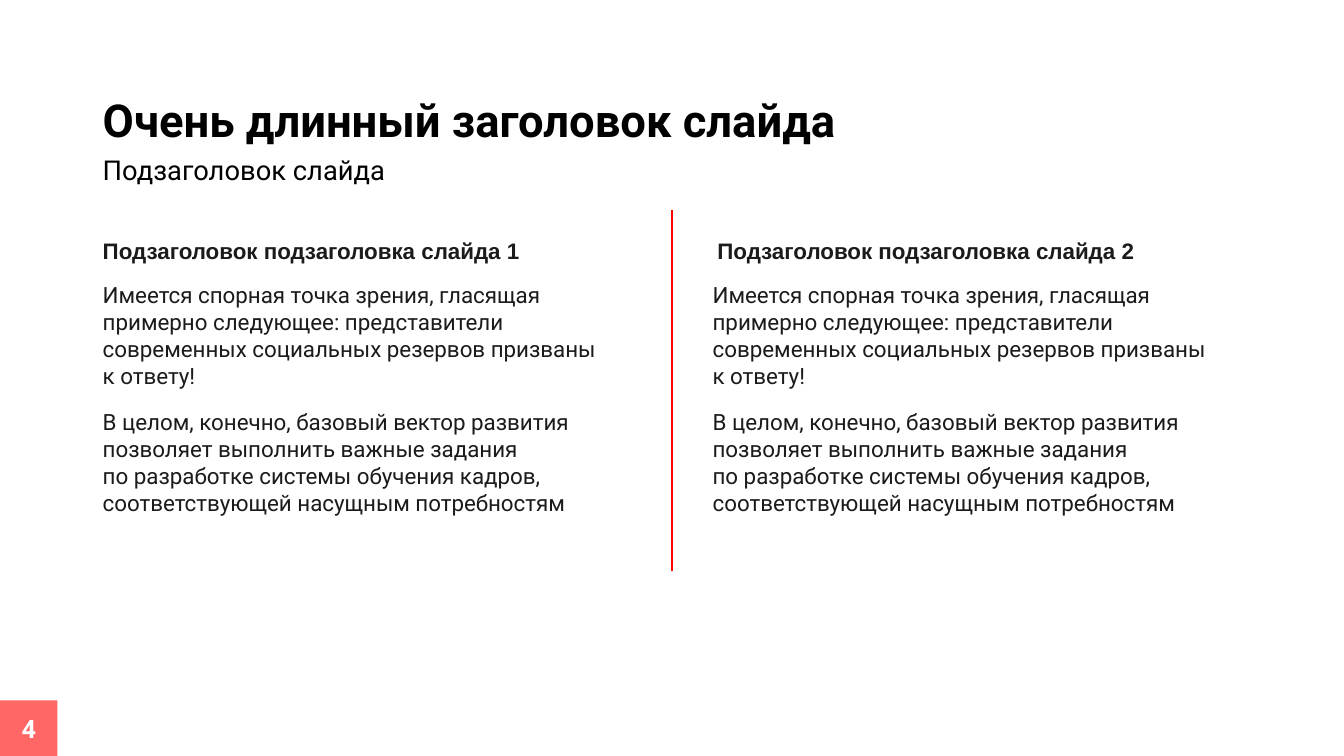
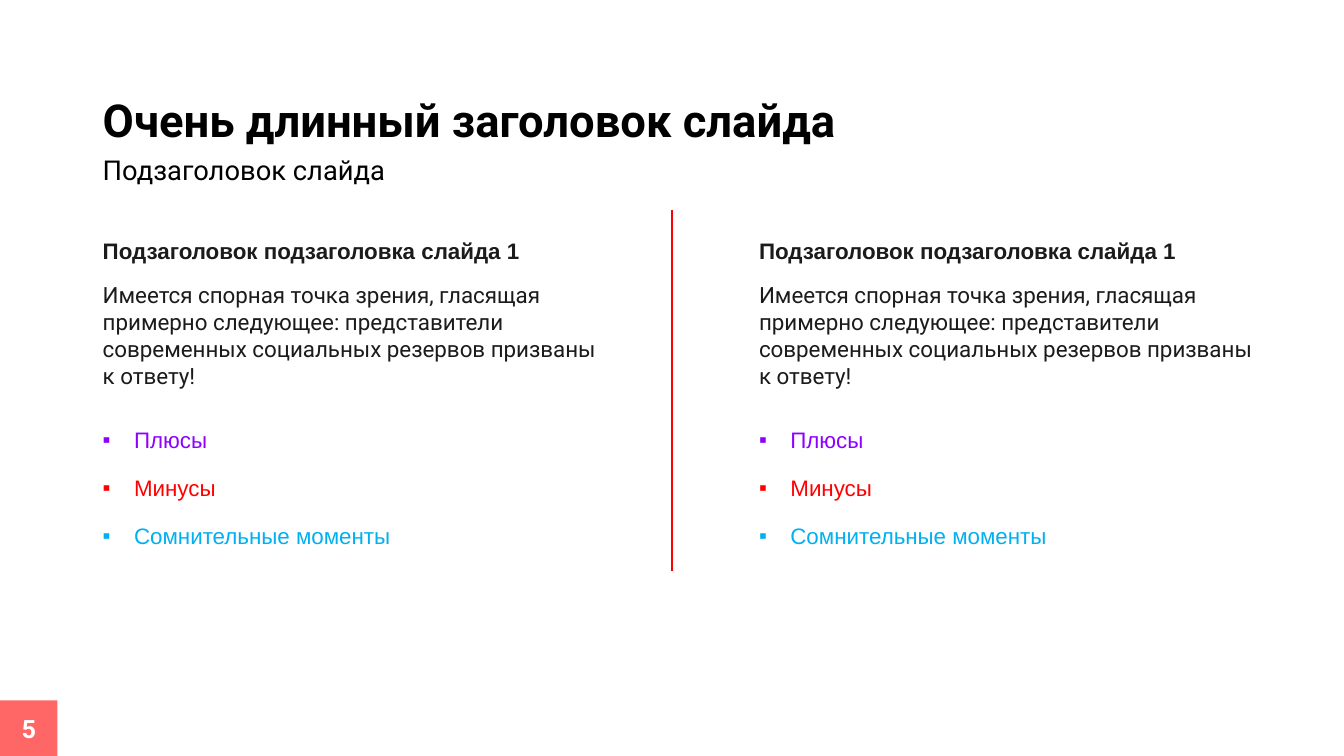
"""Builds two comparison slides with a shared title, divider and page badge."""
import pptx
import pptx.dml.color
import pptx.enum.shapes
import pptx.enum.text
import pptx.oxml.ns
import pptx.util
from lxml import etree

Cm = pptx.util.Cm
Pt = pptx.util.Pt
ALIGN = pptx.enum.text.PP_ALIGN
ANCHOR = pptx.enum.text.MSO_ANCHOR

COLOURS = {
    "title": "000000",
    "body": "1B1B1B",
    "accent": "FF0000",
    "badge_text": "FFFFFF",
    "plus": "8F00FF",
    "minus": "FF0000",
    "doubt": "00B0F0",
}
HEADING_FONT = "Arial"
BODY_FONT = "Roboto"
BODY_INSET = 0.13
TEXT_INSET = 0.25
LEFT_TEXT = 2.59

TITLE = "Очень длинный заголовок слайда"
SUBTITLE = "Подзаголовок слайда"
HEADING = "Подзаголовок подзаголовка слайда"
OPINION = [
    "Имеется спорная точка зрения, гласящая примерно следующее: "
    "представители современных социальных резервов призваны",
    "к ответу!",
]
CONCLUSION = [
    "В целом, конечно, базовый вектор развития позволяет выполнить важные задания",
    "по разработке системы обучения кадров, соответствующей насущным потребностям",
]
VERDICTS = [("Плюсы", "plus"), ("Минусы", "minus"), ("Сомнительные моменты", "doubt")]


def rgb(name):
    """Return the named colour."""
    return pptx.dml.color.RGBColor.from_string(COLOURS[name])


def add_child(parent, tag, **attributes):
    """Append a DrawingML element to an XML parent."""
    return etree.SubElement(parent, pptx.oxml.ns.qn(tag), **attributes)


def write_text(para, text, size=16, font=BODY_FONT, colour="body", bold=False,
               align=ALIGN.LEFT, before=0, spacing=1.0, bullet=None):
    """Write one formatted run into a paragraph."""
    para.alignment = align
    para.line_spacing = spacing
    if before:
        para.space_before = Pt(before)
    if bullet:
        properties = para._p.get_or_add_pPr()
        indent = Cm(0.79)
        properties.set("marL", str(indent))
        properties.set("indent", str(-indent))
        add_child(properties, "a:buFont", typeface=font)
        add_child(properties, "a:buChar", char=bullet)
    span = para.add_run()
    span.text = text
    span.font.size = Pt(size)
    span.font.name = font
    span.font.bold = bold
    span.font.color.rgb = rgb(colour)


def add_text(page, left, top, width, height, items, inset=TEXT_INSET, anchor=ANCHOR.TOP):
    """Add a text box holding (text, format) items whose text starts at left."""
    box = page.shapes.add_textbox(Cm(left - inset), Cm(top), Cm(width), Cm(height))
    frame = box.text_frame
    frame.word_wrap = True
    frame.vertical_anchor = anchor
    frame.margin_left = frame.margin_right = Cm(inset)
    frame.margin_top = frame.margin_bottom = Cm(BODY_INSET)
    for index, (text, style) in enumerate(items):
        para = frame.add_paragraph() if index else frame.paragraphs[0]
        write_text(para, text, **style)


def add_badge(page, number):
    """Add the translucent page number badge."""
    badge = page.shapes.add_shape(pptx.enum.shapes.MSO_SHAPE.RECTANGLE,
                                  Cm(0), Cm(17.65), Cm(1.45), Cm(1.4))
    badge.shadow.inherit = False
    badge.line.fill.background()
    badge.fill.solid()
    badge.fill.fore_color.rgb = rgb("accent")
    colour = badge._element.spPr.find(".//" + pptx.oxml.ns.qn("a:srgbClr"))
    add_child(colour, "a:alpha", val="60000")
    badge.text_frame.vertical_anchor = ANCHOR.MIDDLE
    write_text(badge.text_frame.paragraphs[0], str(number), size=18,
               colour="badge_text", bold=True, align=ALIGN.CENTER)


def add_divider(page):
    """Add the vertical line between the columns."""
    divider = page.shapes.add_connector(pptx.enum.shapes.MSO_CONNECTOR.STRAIGHT,
                                        Cm(16.93), Cm(14.4), Cm(16.93), Cm(5.28))
    divider.line.color.rgb = rgb("accent")
    divider.line.width = Pt(1.5)
    add_child(divider._element.spPr, "a:effectLst")


def add_page(deck, number):
    """Add a page with everything the slides share."""
    page = deck.slides.add_slide(deck.slide_layouts[6])
    title = dict(size=32.4, colour="title", bold=True, spacing=0.9)
    subtitle = dict(size=19.5, colour="title", spacing=0.9)
    for top, text, style in ((2.36, TITLE, title), (3.61, SUBTITLE, subtitle)):
        add_text(page, LEFT_TEXT, top, 22.53, 1.45, [(text, style)], anchor=ANCHOR.MIDDLE)
    add_badge(page, number)
    add_divider(page)
    return page


def add_heading(page, left, number):
    """Add a column heading."""
    style = dict(font=HEADING_FONT, bold=True)
    add_text(page, left, 5.84, 11.15, 0.94, [(f"{HEADING} {number}", style)])


def add_body(page, left, height, *blocks):
    """Add blocks of body lines, with a gap before each later block."""
    items = [(text, dict(before=14 if block and not line else 0))
             for block, lines in enumerate(blocks)
             for line, text in enumerate(lines)]
    add_text(page, left, 6.96, 13.87, height, items, inset=BODY_INSET)


def add_verdicts(page, left):
    """Add the coloured bullet list."""
    items = [(text, dict(font=HEADING_FONT, colour=colour, bullet="▪",
                         before=15 if index else 0))
             for index, (text, colour) in enumerate(VERDICTS)]
    add_text(page, left, 10.62, 12.07, 3.33, items, inset=BODY_INSET)


def main():
    """Build and save the deck."""
    deck = pptx.Presentation()
    deck.slide_width, deck.slide_height = Cm(33.87), Cm(19.05)

    page = add_page(deck, 4)
    for number, heading_left, body_left in ((1, LEFT_TEXT, LEFT_TEXT), (2, 18.08, 17.96)):
        add_heading(page, heading_left, number)
        add_body(page, body_left, 6.25, OPINION, CONCLUSION)

    page = add_page(deck, 5)
    for left in (LEFT_TEXT, 19.13):
        add_heading(page, left, 1)
        add_body(page, left, 3, OPINION)
        add_verdicts(page, left)

    deck.save("out.pptx")


if __name__ == "__main__":
    main()
